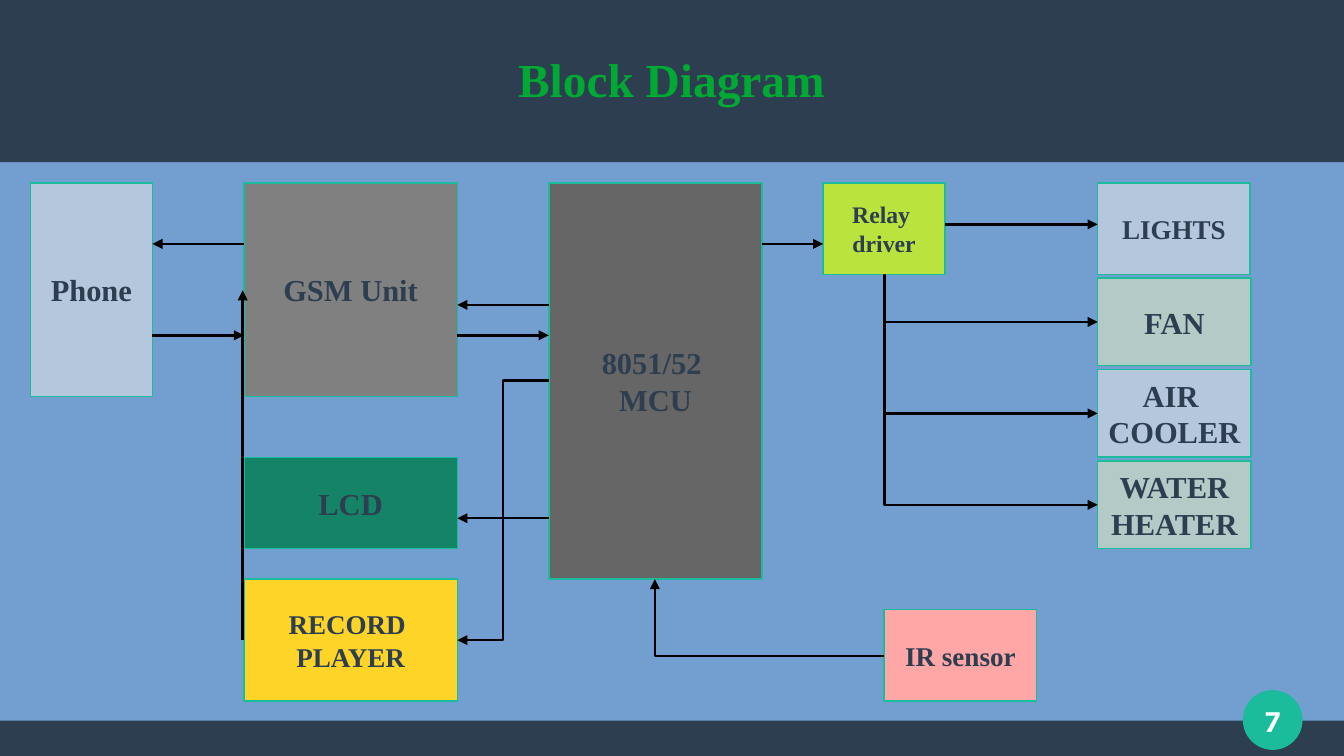
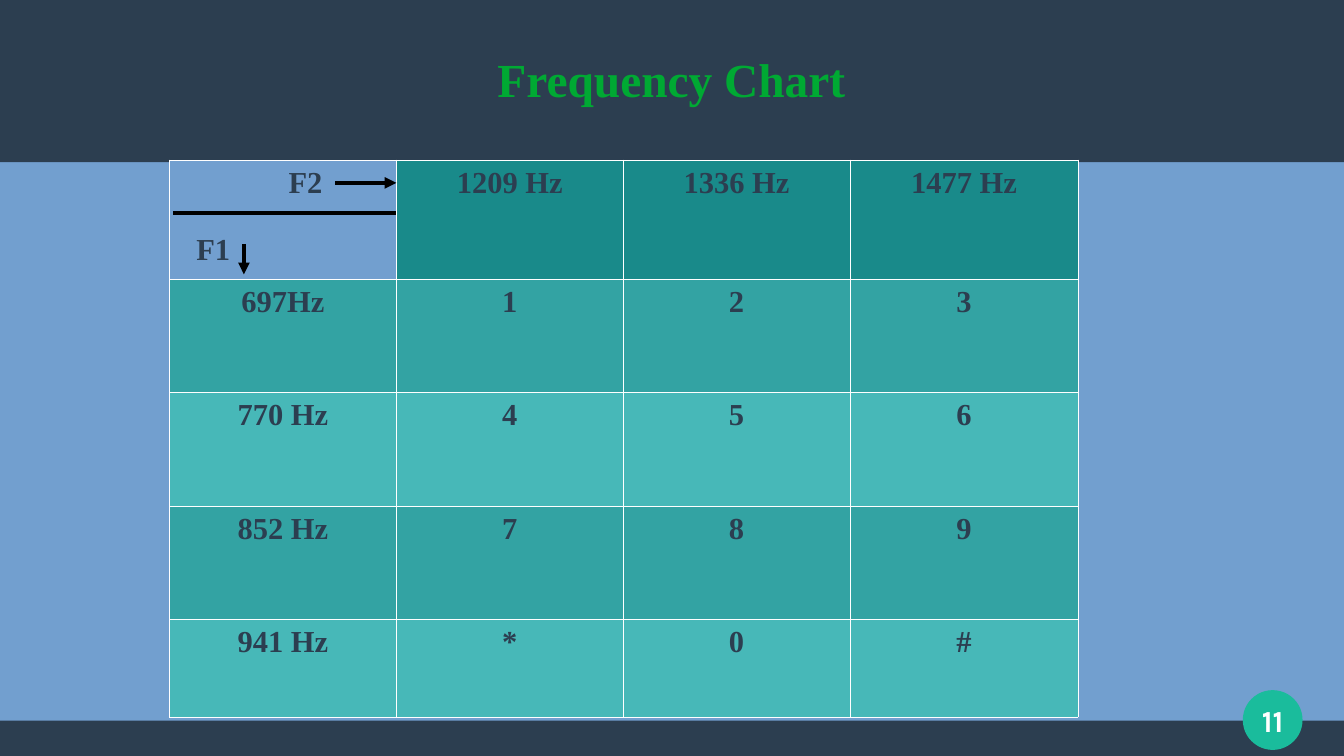
"""Build the block diagram and frequency chart slides."""
from dataclasses import dataclass

from lxml.etree import SubElement
from pptx import Presentation
from pptx.dml.color import RGBColor
from pptx.enum.shapes import MSO_CONNECTOR, MSO_SHAPE
from pptx.enum.text import MSO_ANCHOR, PP_ALIGN
from pptx.oxml.ns import qn
from pptx.util import Inches, Pt


@dataclass(frozen=True)
class Theme:
    back: str = "729FCF"
    dark: str = "2C3E50"
    accent: str = "1ABC9C"
    title: str = "00A933"
    white: str = "FFFFFF"
    black: str = "000000"
    mist: str = "B4C7DC"
    sage: str = "B3CAC7"
    header: str = "198A8A"
    bands: tuple = ("33A3A3", "47B8B8")
    serif: str = "Times New Roman"
    sans: str = "Karla"
    title_size: int = 28
    large: int = 18
    medium: int = 16
    small: int = 14
    outline: float = 0.85
    arrow: float = 1.5
    heavy: float = 2.3


T = Theme()


def write(tf, text, size=T.large, color=T.dark, font=T.serif, margins=(0.1, 0.05)):
    x, y = map(Inches, margins)
    frame = dict(text=text, word_wrap=False, vertical_anchor=MSO_ANCHOR.MIDDLE,
                 margin_left=x, margin_right=x, margin_top=y, margin_bottom=y)
    for name, value in frame.items():
        setattr(tf, name, value)
    for p in tf.paragraphs:
        p.alignment = PP_ALIGN.CENTER
        for r in p.runs:
            for name, value in dict(size=Pt(size), name=font, bold=True).items():
                setattr(r.font, name, value)
            r.font.color.rgb = RGBColor.from_string(color)


def connect(s, start, end, kind="line", width=T.arrow, head=True, color=T.black):
    style = MSO_CONNECTOR.STRAIGHT if kind == "line" else MSO_CONNECTOR.ELBOW
    c = s.shapes.add_connector(style, *map(Inches, start + end))
    c.line.width = Pt(width)
    c.line.color.rgb = RGBColor.from_string(color)
    props = c._element.spPr
    SubElement(props, qn("a:effectLst"))
    if head:
        SubElement(props.find(qn("a:ln")), qn("a:tailEnd"), type="triangle")
    if kind in ("across", "down"):
        props.find(qn("a:prstGeom")).set("prst", "bentConnector2")
    if kind == "down":
        dx, dy = c.width, c.height
        c.left, c.top = c.left + (dx - dy) // 2, c.top + (dy - dx) // 2
        c.width, c.height = dy, dx
        xfrm = props.find(qn("a:xfrm"))
        xfrm.set("rot", "16200000")
        xfrm.set("flipH", "1")


prs = Presentation()
prs.slide_width, prs.slide_height = Inches(11.02), Inches(6.2)

slides = []
for title, number in (("Block Diagram", "7"), ("Frequency Chart", "11")):
    s = prs.slides.add_slide(prs.slide_layouts[6])
    s.background.fill.solid()
    s.background.fill.fore_color.rgb = RGBColor.from_string(T.back)
    for preset, box, color in (
        (MSO_SHAPE.RECTANGLE, (0, 5.91, 11.02, 0.29), T.dark),
        (MSO_SHAPE.RECTANGLE, (0, 0, 11.02, 1.33), T.dark),
        (MSO_SHAPE.OVAL, (10.19, 5.66, 0.49, 0.49), T.accent),
    ):
        sp = s.shapes.add_shape(preset, *map(Inches, box))
        sp.shadow.inherit = False
        sp.fill.solid()
        sp.fill.fore_color.rgb = RGBColor.from_string(color)
        sp.line.fill.background()
    write(sp.text_frame, number, T.large, T.white, T.sans, (0, 0))
    sp = s.shapes.add_textbox(*map(Inches, (0.39, 0.25, 10.23, 0.78)))
    write(sp.text_frame, title, T.title_size, T.title, margins=(0, 0))
    sp.text_frame.word_wrap = True
    slides.append(s)

diagram, chart = slides

blocks = [
    ("Phone", (0.25, 1.5, 1, 1.75), T.mist, T.large),
    ("GSM Unit", (2, 1.5, 1.75, 1.75), "808080", T.large),
    ("LCD", (2, 3.75, 1.75, 0.75), "158466", T.large),
    ("RECORD \nPLAYER", (2, 4.75, 1.75, 1), "FFD428", T.medium),
    ("8051/52 \nMCU", (4.5, 1.5, 1.75, 3.25), "666666", T.large),
    ("Relay \ndriver", (6.75, 1.5, 1, 0.75), "BBE33D", T.small),
    ("IR sensor", (7.25, 5, 1.25, 0.75), "FFA6A6", T.medium),
    ("LIGHTS", (9, 1.5, 1.25, 0.75), T.mist, T.medium),
]
loads = (("FAN", T.sage), ("AIR \nCOOLER", T.mist), ("WATER\nHEATER", T.sage))
for i, (text, color) in enumerate(loads):
    blocks.append((text, (9, 2.28 + 0.75 * i, 1.26, 0.72), color, T.large))

for text, box, color, size in blocks:
    sp = diagram.shapes.add_shape(MSO_SHAPE.RECTANGLE, *map(Inches, box))
    sp.shadow.inherit = False
    sp.fill.solid()
    sp.fill.fore_color.rgb = RGBColor.from_string(color)
    sp.line.color.rgb = RGBColor.from_string(T.accent)
    sp.line.width = Pt(T.outline)
    write(sp.text_frame, text, size)

for start, end, kind in (
    ((2, 2), (1.25, 2), "line"),
    ((1.25, 2.75), (2, 2.75), "line"),
    ((4.5, 2.5), (3.75, 2.5), "line"),
    ((3.75, 2.75), (4.5, 2.75), "line"),
    ((4.5, 4.25), (3.75, 4.25), "line"),
    ((6.25, 2), (6.75, 2), "line"),
    ((7.75, 1.84), (9, 1.84), "line"),
    ((1.99, 5.25), (1.99, 2.38), "line"),
    ((4.5, 3.12), (3.75, 5.25), "middle"),
    ((7.25, 5.38), (5.37, 4.75), "across"),
    ((7.25, 2.25), (9, 2.64), "down"),
    ((7.25, 2.64), (9, 3.39), "down"),
    ((7.25, 3.39), (9, 4.14), "down"),
):
    connect(diagram, start, end, kind)

rows = (
    ("F2\nF1", "1209 Hz", "1336 Hz", "1477 Hz"),
    ("697Hz", "1", "2", "3"),
    ("770 Hz", "4", "5", "6"),
    ("852 Hz", "7", "8", "9"),
    ("941 Hz", "*", "0", "#"),
)
frame = chart.shapes.add_table(5, 4, *map(Inches, (1.39, 1.31, 7.45, 4.51)))
table = frame.table
table.first_row = table.horz_banding = False
for col, width in zip(table.columns, (1.86, 1.86, 1.86, 1.87)):
    col.width = Inches(width)
for row, height in zip(table.rows, (0.93, 0.93, 0.93, 0.93, 0.8)):
    row.height = Inches(height)

for i, row in enumerate(rows):
    for j, text in enumerate(row):
        cell = table.cell(i, j)
        write(cell.text_frame, text)
        cell.vertical_anchor = MSO_ANCHOR.TOP
        tcPr = cell._tc.get_or_add_tcPr()
        for side in ("lnL", "lnR", "lnT", "lnB"):
            ln = SubElement(tcPr, qn(f"a:{side}"), w=str(Pt(0.06)))
            SubElement(SubElement(ln, qn("a:solidFill")), qn("a:srgbClr"), val=T.white)
        cell.fill.solid()
        color = T.bands[(i - 1) % 2] if i else T.header
        cell.fill.fore_color.rgb = RGBColor.from_string(color)

corner = table.cell(0, 0)
corner.fill.fore_color.rgb = RGBColor.from_string(T.back)
f2, f1 = corner.text_frame.paragraphs
f1.alignment = PP_ALIGN.LEFT
f1.space_before = Pt(20)
for p, indent in ((f2, 0.37), (f1, 0.12)):
    p._p.get_or_add_pPr().set("marL", str(Inches(indent)))

for start, end, head in (
    ((1.42, 1.75), (3.25, 1.75), False),
    ((2, 2), (2, 2.25), True),
    ((2.75, 1.5), (3.25, 1.5), True),
):
    connect(chart, start, end, width=T.heavy, head=head)

prs.save("out.pptx")
